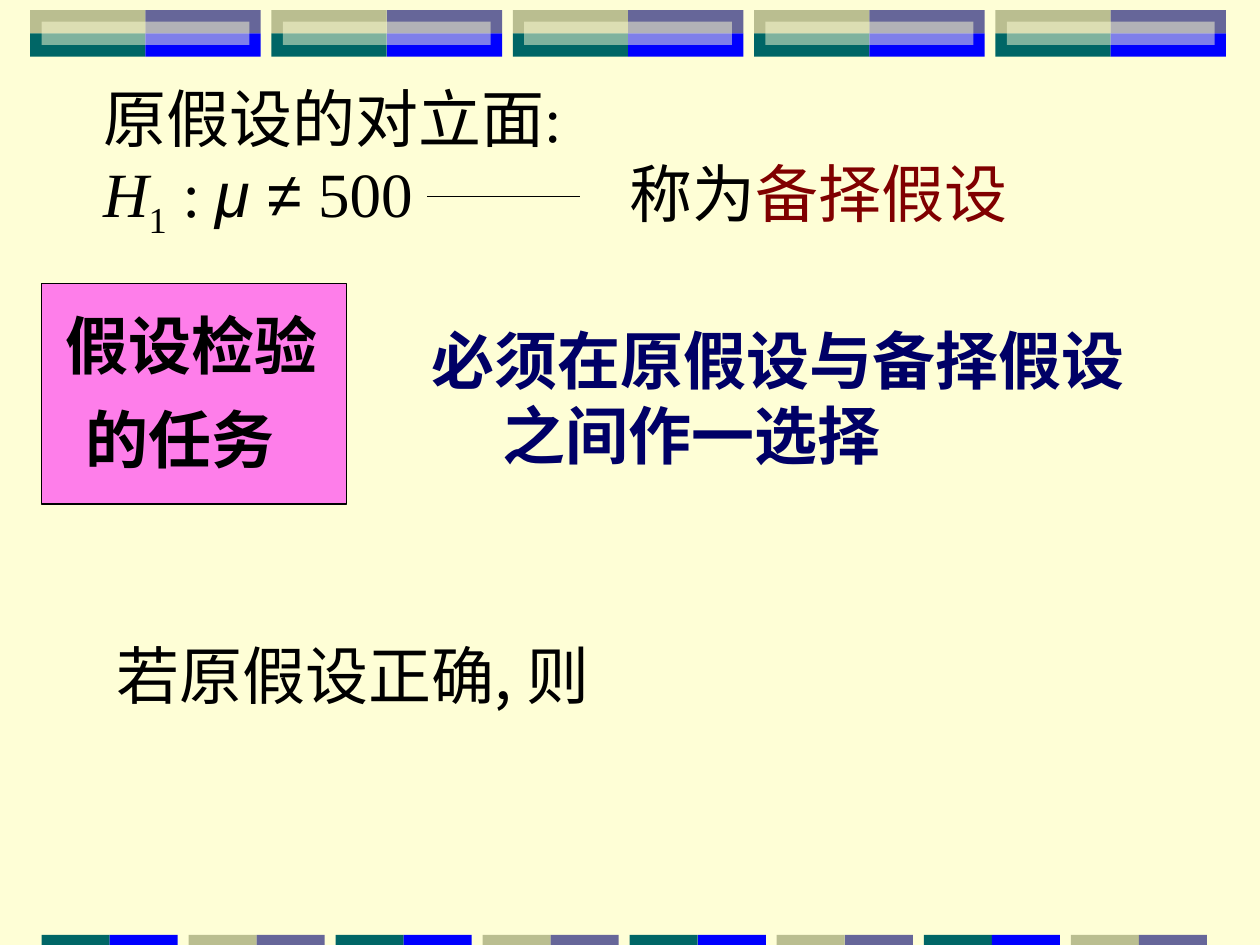
from lxml.etree import SubElement
from pptx import Presentation
from pptx.dml.color import RGBColor
from pptx.enum.shapes import MSO_CONNECTOR as Connector, MSO_SHAPE as Shape
from pptx.oxml.ns import qn
from pptx.util import Inches, Pt

COLORS = {
    "background": "FEFED6", "sand": "BABE90", "slate": "666699", "teal": "006666",
    "blue": "0000FF", "pink": "FF00FF", "black": "000000", "maroon": "800000", "navy": "000066",
}
TIMES, SANS, ARIAL = "Times New Roman", "Noto Sans CJK SC", "Arial"

ALTERNATIVE = [
    [("原假设的对立面:", {})],
    [("H", {"italic": True}), ("1", {"subscript": True}), (" : ", {}),
     ("μ ≠", {"font": ARIAL, "italic": True}), (" 500\t称为", {}),
     ("备择假设", {"color": "maroon"})],
]
TASK = [[("必须在原假设与备择假设", {})], [("之间作一选择", {})]]
TASK_LABELS = [("假设检验", (0.42, 2.38, 2.33, 0.7)), ("的任务", (0.58, 3.13, 1.92, 0.7))]
PREMISE = [[("若原假设正确, 则", {})]]

TOP_TILES, TOP_LEFT, TOP_Y, TOP_PITCH = 5, 0.24, 0.08, 1.915
TOP_HALF, TOP_ROW, INSET = 0.915, 0.185, 0.09
BOTTOM_TILES, BOTTOM_LEFT, BOTTOM_Y, BOTTOM_PITCH = 8, 0.33, 7.42, 1.167
BOTTOM_HALF, BOTTOM_ROW = 0.54, 0.08
TOP_COLORS = [("sand", "slate"), ("teal", "blue")]
BOTTOM_COLORS = [("teal", "blue"), ("sand", "slate")]


def rgb(name):
    return RGBColor.from_string(COLORS[name])


def add_rectangle(slide, box, fill, alpha=None, line=None):
    shape = slide.shapes.add_shape(Shape.RECTANGLE, *map(Inches, box))
    shape.shadow.inherit = False
    shape.fill.solid()
    shape.fill.fore_color.rgb = rgb(fill)
    if alpha:
        color = shape.fill._xPr.find(qn("a:solidFill"))[0]
        SubElement(color, qn("a:alpha"), val=str(alpha * 1000))
    if line:
        shape.line.color.rgb = rgb(line)
        shape.line.width = Pt(0.75)
    else:
        shape.line.fill.background()


def add_text(slide, box, lines, font, color="black", bold=False, wrap=True):
    shape = slide.shapes.add_textbox(*map(Inches, box))
    frame = shape.text_frame
    frame.word_wrap = wrap
    for index, line in enumerate(lines):
        paragraph = frame.add_paragraph() if index else frame.paragraphs[0]
        for text, style in line:
            run = paragraph.add_run()
            run.text = text
            run.font.size = Pt(36)
            run.font.bold = bold
            run.font.italic = style.get("italic", False)
            run.font.name = style.get("font", font)
            run.font.color.rgb = rgb(style.get("color", color))
            properties = run._r.get_or_add_rPr()
            SubElement(properties, qn("a:ea"), typeface=SANS)
            if style.get("subscript"):
                properties.set("baseline", "-25000")
    return frame


def add_tile_row(slide, left, top, half, height, colors):
    for column, color in enumerate(colors):
        add_rectangle(slide, (left + column * half, top, half, height), color)


def add_borders(slide):
    for tile in range(TOP_TILES):
        left = TOP_LEFT + tile * TOP_PITCH
        for row, colors in enumerate(TOP_COLORS):
            add_tile_row(slide, left, TOP_Y + row * TOP_ROW, TOP_HALF, TOP_ROW, colors)
        inner = (left + INSET, TOP_Y + TOP_ROW / 2, 2 * (TOP_HALF - INSET), TOP_ROW)
        add_rectangle(slide, inner, "background", alpha=50)
    for tile in range(BOTTOM_TILES):
        left = BOTTOM_LEFT + tile * BOTTOM_PITCH
        add_tile_row(slide, left, BOTTOM_Y, BOTTOM_HALF, BOTTOM_ROW, BOTTOM_COLORS[tile % 2])


def add_dash(slide, start, end, y):
    line = slide.shapes.add_connector(
        Connector.STRAIGHT, Inches(start), Inches(y), Inches(end), Inches(y))
    line.line.color.rgb = rgb("black")
    line.line.width = Pt(0.75)
    SubElement(line._element.spPr, qn("a:effectLst"))


def main():
    presentation = Presentation()
    presentation.slide_width, presentation.slide_height = Inches(10), Inches(7.5)
    slide = presentation.slides.add_slide(presentation.slide_layouts[6])
    slide.background.fill.solid()
    slide.background.fill.fore_color.rgb = rgb("background")
    add_borders(slide)

    alternative = add_text(slide, (0.72, 0.58, 7.52, 1.39), ALTERNATIVE, TIMES, wrap=False)
    tabs = SubElement(alternative.paragraphs[1]._p.get_or_add_pPr(), qn("a:tabLst"))
    SubElement(tabs, qn("a:tab"), pos=str(Inches(4.18)), algn="l")
    add_dash(slide, 3.39, 4.6, 1.56)

    add_rectangle(slide, (0.33, 2.25, 2.42, 1.75), "pink", alpha=50, line="black")
    for label, box in TASK_LABELS:
        add_text(slide, box, [[(label, {})]], SANS, bold=True)
    task = add_text(slide, (3.33, 2.5, 5.72, 1.3), TASK, SANS, color="navy", bold=True)
    task.paragraphs[1]._p.get_or_add_pPr().set("marL", str(Inches(0.56)))
    add_text(slide, (0.83, 5, 4.54, 0.7), PREMISE, SANS, wrap=False)
    presentation.save("out.pptx")


if __name__ == "__main__":
    main()
